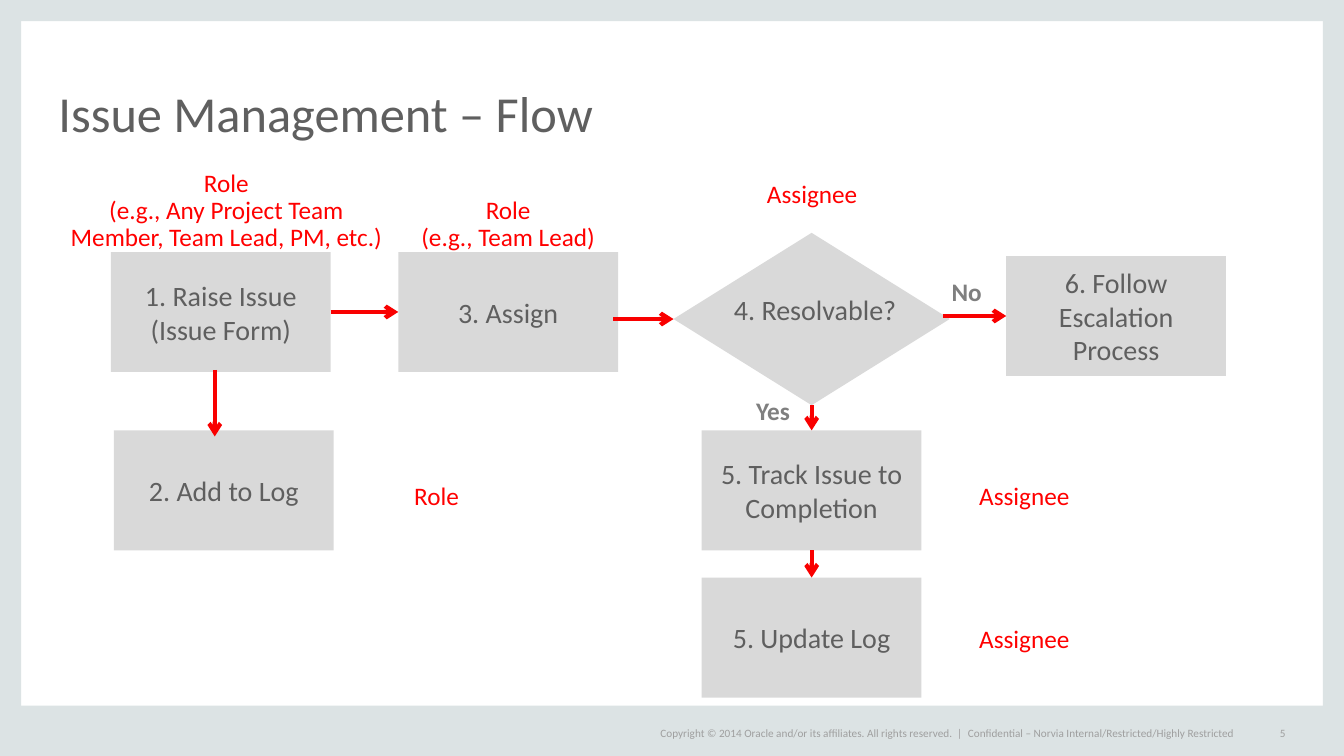
from pptx import Presentation
from pptx.dml.color import RGBColor as RGB
from pptx.enum.shapes import MSO_CONNECTOR as LINK, MSO_SHAPE as SHAPE
from pptx.enum.text import MSO_ANCHOR as ANCHOR, PP_ALIGN as ALIGN
from pptx.oxml.ns import qn
from pptx.util import Inches, Pt
from lxml import etree

COLORS = {"frame": "DCE3E4", "step": "D9D9D9", "text": "5F5F5F", "role": "FF0000",
          "arrow": "F90000", "answer": "7F7F7F", "footer": "9F9F9F"}
WIDTH, HEIGHT = 13.33, 7.5

# Grid: left edges of the columns, top edges of the rows, size of a step
COLUMNS = {"raise": 1.1, "log": 1.13, "assign": 3.95, "decide": 6.96, "escalate": 9.98}
ROWS = {"top": 2.5, "escalate": 2.54, "middle": 4.27, "bottom": 5.73}
STEP_W, STEP_H = 2.18, 1.19

deck = Presentation()
deck.slide_width, deck.slide_height = Inches(WIDTH), Inches(HEIGHT)
slide = deck.slides.add_slide(deck.slide_layouts[6])


def write(shape, lines, color, size, align=ALIGN.CENTER, spacing=1.0, bold=False, **frame_format):
    frame = shape.text_frame
    for name, value in frame_format.items():
        setattr(frame, name, value)
    frame.text = "\n".join(lines)
    for paragraph in frame.paragraphs:
        paragraph.alignment, paragraph.line_spacing = align, spacing
        font_format = {"name": "Calibri", "size": Pt(size), "bold": bold}
        for name, value in font_format.items():
            setattr(paragraph.font, name, value)
        paragraph.font.color.rgb = RGB.from_string(COLORS[color])


def block(preset, left, top, width, height, color):
    shape = slide.shapes.add_shape(preset, *map(Inches, (left, top, width, height)))
    shape.shadow.inherit = False
    shape.fill.solid()
    shape.fill.fore_color.rgb = RGB.from_string(COLORS[color])
    shape.line.fill.background()
    return shape


# Frame around the slide
BORDER, FOOTER = 0.21, 0.5
for edge in [(0, 0, BORDER, HEIGHT), (WIDTH - BORDER, 0, BORDER, HEIGHT),
             (0, HEIGHT - FOOTER, WIDTH, FOOTER), (0, 0, WIDTH, BORDER)]:
    block(SHAPE.RECTANGLE, *edge, "frame")

# Steps and the decision
steps = {}
for key, column, row, lines in [
    ("raise", "raise", "top", ["1. Raise Issue", "(Issue Form)"]),
    ("assign", "assign", "top", ["3. Assign"]),
    ("escalate", "escalate", "escalate", ["6. Follow Escalation Process"]),
    ("track", "decide", "middle", ["5. Track Issue to Completion"]),
    ("update", "decide", "bottom", ["5. Update Log"]),
    ("log", "log", "middle", ["2. Add to Log"]),
]:
    steps[key] = block(SHAPE.RECTANGLE, COLUMNS[column], ROWS[row], STEP_W, STEP_H, "step")
    write(steps[key], lines, "text", 20, word_wrap=True, vertical_anchor=ANCHOR.MIDDLE)
steps["decision"] = block(SHAPE.DIAMOND, 6.68, 2.31, 2.74, 1.71, "step")

# Arrows: an end is either a step with its side or a free point
TOP, LEFT, BOTTOM, RIGHT = range(4)
decision_y = 2.31 + 1.71 / 2
escalate_y = ROWS["escalate"] + STEP_H / 2
for start, end in [
    (("decision", BOTTOM), ("track", TOP)),
    (("track", BOTTOM), ("update", TOP)),
    (("raise", RIGHT), ("assign", LEFT)),
    ((9.35, escalate_y), ("escalate", LEFT)),
    ((6.08, decision_y), ("decision", LEFT)),
    ((2.13, 3.67), (2.13, 4.33)),
]:
    points = [(0, 0) if isinstance(tip[0], str) else tip for tip in (start, end)]
    arrow = slide.shapes.add_connector(LINK.STRAIGHT, *map(Inches, points[0] + points[1]))
    for tip, join in ((start, arrow.begin_connect), (end, arrow.end_connect)):
        if isinstance(tip[0], str):
            join(steps[tip[0]], tip[1])
    arrow.line.width = Pt(3)
    arrow.line.color.rgb = RGB.from_string(COLORS["arrow"])
    properties = arrow._element.spPr
    etree.SubElement(properties.find(qn("a:ln")), qn("a:tailEnd"), type="arrow")
    etree.SubElement(properties, qn("a:effectLst"))

# Title, footer, decision text, roles and answers
INSETS = ("margin_left", "margin_top", "margin_right", "margin_bottom")
FLUSH = dict.fromkeys(INSETS, 0)
title = {**FLUSH, "align": ALIGN.LEFT, "spacing": 0.8, "word_wrap": True,
         "vertical_anchor": ANCHOR.BOTTOM}
footer = {**FLUSH, "align": ALIGN.LEFT, "word_wrap": False, "vertical_anchor": ANCHOR.MIDDLE}
role = {**FLUSH, "spacing": 0.9, "word_wrap": False}
answer = {"align": ALIGN.LEFT, "bold": True, "word_wrap": True}
FOOT_Y, FOOT_H = 7.17, 0.2
ROLE_H = 0.28
for place, lines, color, size, style in [
    ((0.58, 0.44, 12.17, 0.97), ["Issue Management – Flow"], "text", 36, title),
    ((6.55, FOOT_Y, 3.05, FOOT_H),
     ["Copyright © 2014 Oracle and/or its affiliates. All rights reserved.  |"],
     "footer", 8, footer),
    ((9.6, FOOT_Y, 2.73, FOOT_H),
     ["Confidential – Norvia Internal/Restricted/Highly Restricted"], "footer", 8, footer),
    ((12.33, FOOT_Y, 0.42, FOOT_H), ["5"], "footer", 8, {**footer, "align": ALIGN.RIGHT}),
    ((7.25, 2.94, 1.67, 0.33), ["4. Resolvable?"], "text", 20, role),
    ((0.6, 1.69, 3.29, 0.75),
     ["Role", "(e.g., Any Project Team", "Member, Team Lead, PM, etc.)"], "role", 18, role),
    ((4, 1.96, 2.08, 0.54), ["Role", "(e.g., Team Lead)"], "role", 18, role),
    ((6.72, 1.8, 2.67, ROLE_H), ["Assignee"], "role", 18, role),
    ((3.33, 4.8, 2, ROLE_H), ["Role"], "role", 18, role),
    ((9.16, 4.8, 2, ROLE_H), ["Assignee"], "role", 18, role),
    ((9.16, 6.22, 2, ROLE_H), ["Assignee"], "role", 18, role),
    ((7.4, 3.87, 0.81, 0.4), ["Yes"], "answer", 18, answer),
    ((9.34, 2.69, 0.63, 0.4), ["No"], "answer", 18, answer),
]:
    write(slide.shapes.add_textbox(*map(Inches, place)), lines, color, size, **style)

deck.save("out.pptx")
